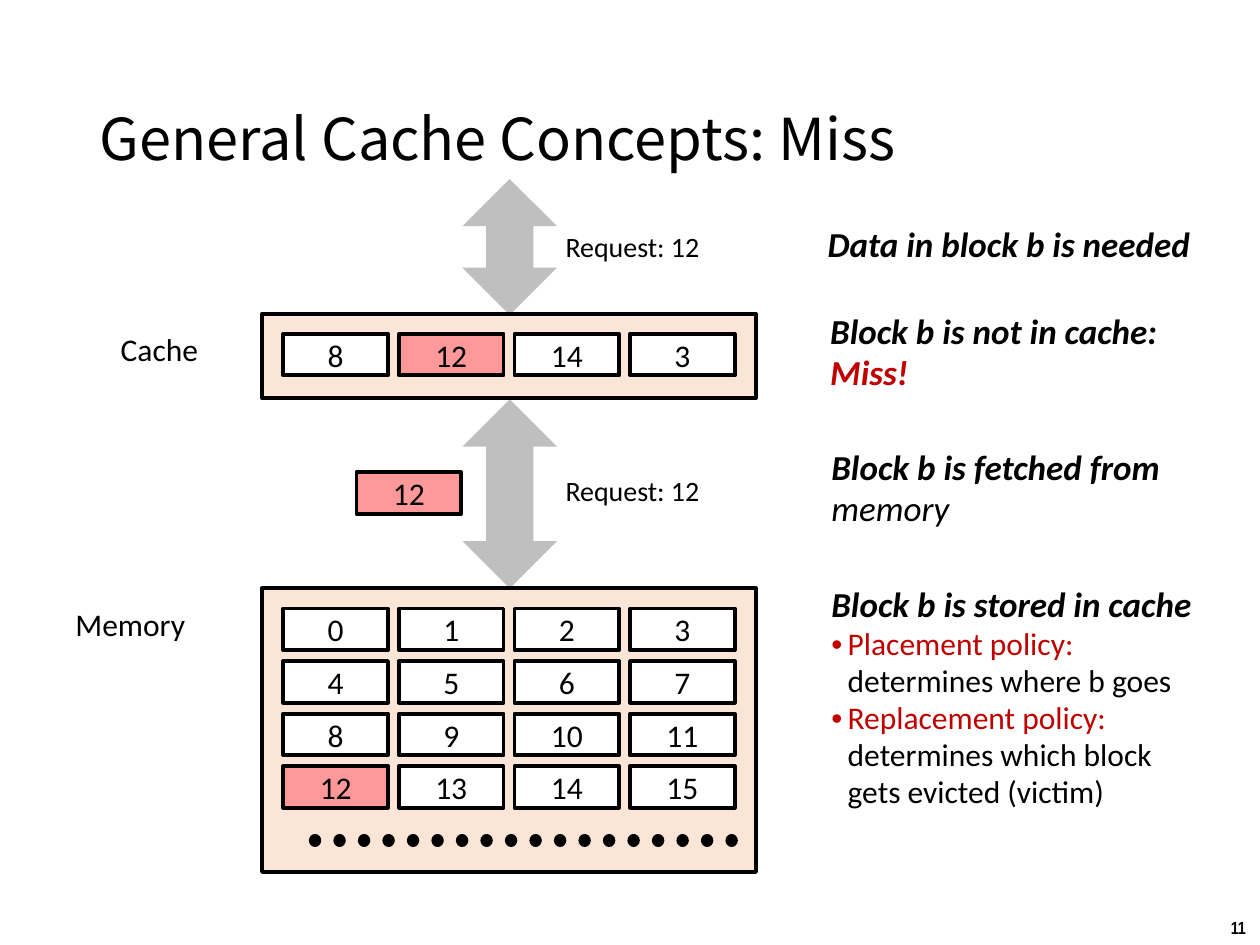
from lxml.etree import SubElement
from pptx import Presentation
from pptx.dml.color import RGBColor
from pptx.enum.dml import MSO_LINE
from pptx.enum.shapes import MSO_CONNECTOR, MSO_SHAPE
from pptx.enum.text import MSO_ANCHOR, MSO_AUTO_SIZE, PP_ALIGN
from pptx.oxml.ns import qn
from pptx.util import Inches, Pt

BLACK, WHITE, RED = "000000", "FFFFFF", "C00000"
PEACH, PINK, GREY = "FBE5D6", "FF9999", "BFBFBF"
BLOCK_W, BLOCK_H = 0.83, 0.33
COLUMN_STEP, ROW_STEP = 0.917, 0.417
BLOCKS_LEFT = 2.25


def add_box(kind, left, top, width, height, fill, text="", outlined=True):
    box = slide.shapes.add_shape(
        kind, Inches(left), Inches(top), Inches(width), Inches(height))
    box.shadow.inherit = False
    box.fill.solid()
    box.fill.fore_color.rgb = RGBColor.from_string(fill)
    if outlined:
        box.line.color.rgb = RGBColor.from_string(BLACK)
        box.line.width = Pt(2.25)
    else:
        box.line.fill.background()
    if text:
        box.text_frame.text = text
        box.text_frame.vertical_anchor = MSO_ANCHOR.MIDDLE
        paragraph = box.text_frame.paragraphs[0]
        paragraph.alignment = PP_ALIGN.CENTER
        style_run(paragraph.runs[0], 18)


def style_run(run, size, color=BLACK, bold=False, italic=False, font="Calibri"):
    run.font.name = font
    run.font.size = Pt(size)
    run.font.bold = bold
    run.font.italic = italic
    run.font.color.rgb = RGBColor.from_string(color)


prs = Presentation()
prs.slide_width, prs.slide_height = Inches(10), Inches(7.5)
slide = prs.slides.add_slide(prs.slide_layouts[5])

title = slide.shapes.title
title.left, title.top = Inches(0.69), Inches(0.4)
title.width, title.height = Inches(8.62), Inches(1.45)
title.text_frame.text = "General Cache Concepts: Miss"
title.text_frame.vertical_anchor = MSO_ANCHOR.MIDDLE
heading = title.text_frame.paragraphs[0]
heading.alignment = PP_ALIGN.LEFT
heading.line_spacing = 0.9
style_run(heading.runs[0], 33, font="Noto Sans CJK SC")

# Transfers between processor, cache and memory
for top, height in [(1.42, 1.08), (3.17, 1.5)]:
    add_box(MSO_SHAPE.UP_DOWN_ARROW, 3.67, top, 0.75, height, GREY, outlined=False)

# Cache and memory with their blocks
cache_rows = [[8, 12, 14, 3]]
memory_rows = [range(first, first + 4) for first in range(0, 16, 4)]
for top, height, blocks_top, rows in [
    (2.49, 0.67, 2.65, cache_rows),
    (4.67, 2.25, 4.83, memory_rows),
]:
    add_box(MSO_SHAPE.RECTANGLE, 2.08, top, 3.92, height, PEACH)
    for row, numbers in enumerate(rows):
        for column, number in enumerate(numbers):
            add_box(MSO_SHAPE.RECTANGLE,
                    BLOCKS_LEFT + column * COLUMN_STEP, blocks_top + row * ROW_STEP,
                    BLOCK_W, BLOCK_H, PINK if number == 12 else WHITE, str(number))

# Block on its way from memory to cache
add_box(MSO_SHAPE.RECTANGLE, 2.83, 3.75, BLOCK_W, BLOCK_H, PINK, "12")

more_blocks = slide.shapes.add_connector(
    MSO_CONNECTOR.STRAIGHT, Inches(2.5), Inches(6.67), Inches(5.83), Inches(6.67))
more_blocks.line.color.rgb = RGBColor.from_string(BLACK)
more_blocks.line.width = Pt(7)
more_blocks.line.dash_style = MSO_LINE.ROUND_DOT
line_properties = more_blocks.element.spPr
line_properties.find(qn("a:ln")).set("cap", "rnd")
SubElement(line_properties, qn("a:effectLst"))

# Labels: text, left, top, width, height, size, alignment, bold, font
for text, left, top, width, height, size, alignment, bold, font in [
    ("Cache", 0.86, 2.57, 1.04, 0.5, 18, PP_ALIGN.LEFT, False, "Calibri"),
    ("Memory", 0.5, 4.75, 1.4, 0.5, 18, PP_ALIGN.LEFT, False, "Calibri"),
    ("Request: 12", 4.37, 1.77, 1.3, 0.37, 16, PP_ALIGN.CENTER, False, "Calibri"),
    ("Request: 12", 4.37, 3.71, 1.3, 0.37, 16, PP_ALIGN.CENTER, False, "Calibri"),
    ("11", 9.67, 7.23, 0.34, 0.27, 10, PP_ALIGN.LEFT, True, "Arial Narrow"),
]:
    label = slide.shapes.add_textbox(
        Inches(left), Inches(top), Inches(width), Inches(height)).text_frame
    label.text = text
    label.word_wrap = False
    label.auto_size = MSO_AUTO_SIZE.SHAPE_TO_FIT_TEXT
    label.paragraphs[0].alignment = alignment
    style_run(label.paragraphs[0].runs[0], size, bold=bold, font=font)

# Steps of a miss; policies are bulleted, with a red name before the line break
steps = [
    (6.47, 1.73, 3.09, 0.43, ["Data in block b is needed"]),
    (6.49, 2.42, 2.81, 0.76, ["Block b is not in cache:", "Miss!"]),
    (6.5, 3.5, 2.83, 0.76, ["Block b is fetched from", "memory"]),
    (6.5, 4.58, 3.07, 1.92, [
        "Block b is stored in cache",
        "Placement policy:\vdetermines where b goes",
        "Replacement policy:\vdetermines which block\vgets evicted (victim)",
    ]),
]
for left, top, width, height, lines in steps:
    step = slide.shapes.add_textbox(
        Inches(left), Inches(top), Inches(width), Inches(height)).text_frame
    step.text = "\n".join(lines)
    step.word_wrap = False
    step.auto_size = MSO_AUTO_SIZE.SHAPE_TO_FIT_TEXT
    step.vertical_anchor = MSO_ANCHOR.MIDDLE
    for paragraph, line in zip(step.paragraphs, lines):
        paragraph.line_spacing = 0.98
        if "policy" in line:
            bullet_properties = paragraph._p.get_or_add_pPr()
            bullet_properties.set("marL", str(Inches(0.13)))
            bullet_properties.set("indent", str(Inches(-0.13)))
            bullet_color = SubElement(bullet_properties, qn("a:buClr"))
            SubElement(bullet_color, qn("a:srgbClr"), val=RED)
            SubElement(bullet_properties, qn("a:buFont"), typeface="Arial")
            SubElement(bullet_properties, qn("a:buChar"), char="•")
            for position, run in enumerate(paragraph.runs):
                style_run(run, 18, BLACK if position else RED)
        else:
            style_run(paragraph.runs[0], 20, RED if line == "Miss!" else BLACK,
                      bold=line != "memory", italic=True)

prs.save("out.pptx")
